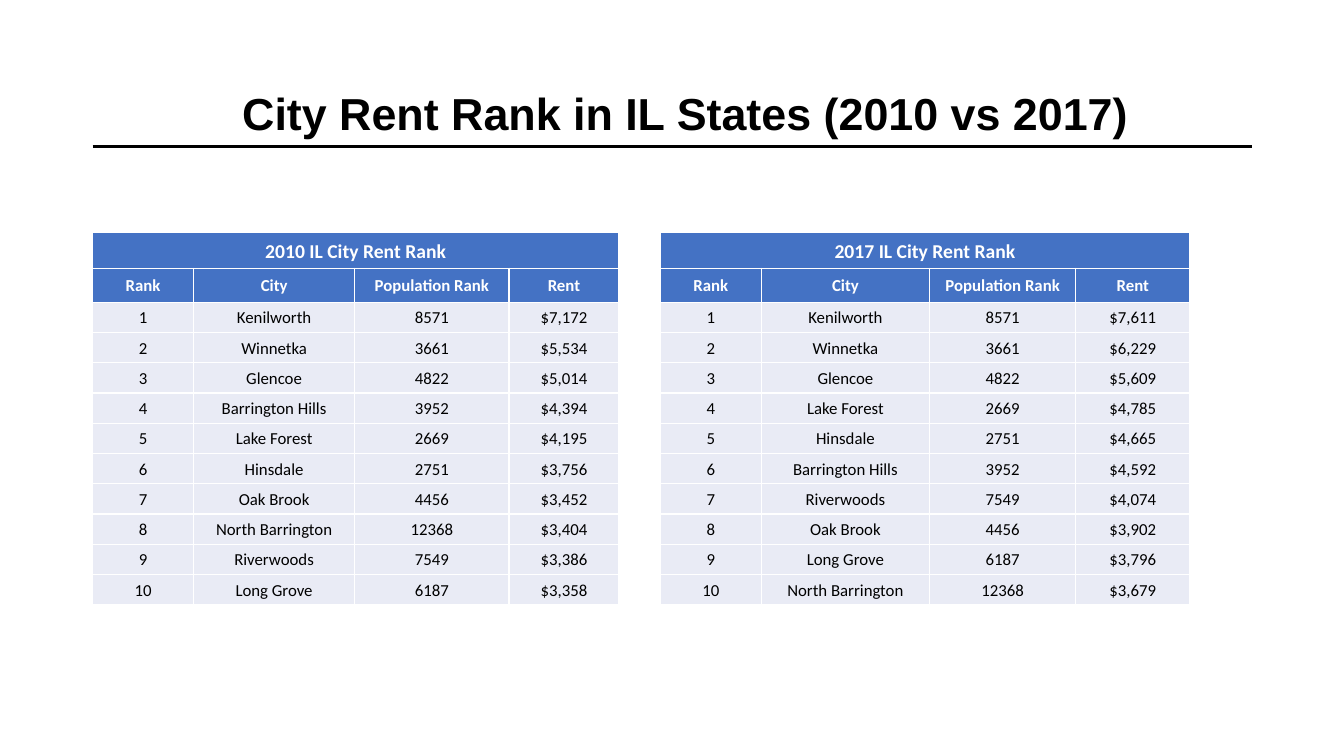
from dataclasses import dataclass

from lxml.etree import SubElement
from pptx import Presentation
from pptx.dml.color import RGBColor
from pptx.enum.shapes import MSO_CONNECTOR
from pptx.enum.text import MSO_ANCHOR, MSO_AUTO_SIZE, PP_ALIGN
from pptx.oxml import parse_xml
from pptx.oxml.ns import nsdecls, qn
from pptx.util import Inches, Pt

SLIDE_WIDTH, SLIDE_HEIGHT = Inches(13.33), Inches(7.5)
BLACK, WHITE, BLUE, PALE = "000000", "FFFFFF", "4472C4", "E9EBF5"
HEADINGS = ("Rank", "City", "Population Rank", "Rent")
LEFT_MARGIN, TABLE_TOP = 6.9, 30.8
BANNER_ROW, HEADING_ROW, CITY_ROW = 4.67, 4.53, 4
TITLE_FORMAT = {"name": "Arial", "size": Pt(32), "bold": True}
BANNER_FORMAT = {"name": "Calibri", "size": Pt(14), "bold": True}
HEADING_FORMAT = BANNER_FORMAT | {"size": Pt(12)}
CITY_FORMAT = HEADING_FORMAT | {"bold": False}
CELL_FORMAT = {
    "vertical_anchor": MSO_ANCHOR.MIDDLE,
    "margin_left": Inches(0.03),
    "margin_right": Inches(0.03),
    "margin_top": Inches(0.03),
    "margin_bottom": Inches(0.03),
}
POPULATION_RANKS = {
    "Kenilworth": 8571,
    "Winnetka": 3661,
    "Glencoe": 4822,
    "Barrington Hills": 3952,
    "Lake Forest": 2669,
    "Hinsdale": 2751,
    "Oak Brook": 4456,
    "North Barrington": 12368,
    "Riverwoods": 7549,
    "Long Grove": 6187,
}


@dataclass
class RentRanking:
    """One year's ranking, with left edge and columns in percent of slide width."""

    year: int
    left: float
    columns: tuple[float, ...]
    rents: dict[str, int]


RANKINGS = (
    RentRanking(2010, LEFT_MARGIN, (7.5, 12, 11.48, 8.18), {
        "Kenilworth": 7172,
        "Winnetka": 5534,
        "Glencoe": 5014,
        "Barrington Hills": 4394,
        "Lake Forest": 4195,
        "Hinsdale": 3756,
        "Oak Brook": 3452,
        "North Barrington": 3404,
        "Riverwoods": 3386,
        "Long Grove": 3358,
    }),
    RentRanking(2017, 49.14, (7.5, 12.53, 10.88, 8.48), {
        "Kenilworth": 7611,
        "Winnetka": 6229,
        "Glencoe": 5609,
        "Lake Forest": 4785,
        "Hinsdale": 4665,
        "Barrington Hills": 4592,
        "Riverwoods": 4074,
        "Oak Brook": 3902,
        "Long Grove": 3796,
        "North Barrington": 3679,
    }),
)


def color(value: str) -> RGBColor:
    """Turn a hex string into a colour."""
    return RGBColor.from_string(value)


def across(percent: float) -> int:
    """Give a share of the slide's width."""
    return round(SLIDE_WIDTH * percent / 100)


def down(percent: float) -> int:
    """Give a share of the slide's height."""
    return round(SLIDE_HEIGHT * percent / 100)


def apply(target, settings: dict) -> None:
    """Set every attribute named in the settings."""
    for attribute, value in settings.items():
        setattr(target, attribute, value)


def write(frame, text: str, font: dict, ink: str, spacing: float) -> None:
    """Write one centred paragraph."""
    paragraph = frame.paragraphs[0]
    apply(paragraph, {"alignment": PP_ALIGN.CENTER, "line_spacing": spacing})
    run = paragraph.add_run()
    run.text = text
    apply(run.font, font)
    run.font.color.rgb = color(ink)


def add_title(slide, text: str) -> None:
    """Place the title and the rule beneath it."""
    title = slide.shapes.title
    apply(title, {"left": across(7.88), "top": down(11.47),
                  "width": across(86.27), "height": down(19.33)})
    apply(title.text_frame, {"vertical_anchor": MSO_ANCHOR.TOP, "word_wrap": True,
                             "auto_size": MSO_AUTO_SIZE.NONE})
    write(title.text_frame, text, TITLE_FORMAT, BLACK, 0.9)
    rule = slide.shapes.add_connector(
        MSO_CONNECTOR.STRAIGHT, across(LEFT_MARGIN), down(19.33), across(93.17), down(19.33))
    rule.line.color.rgb = color(BLACK)
    rule.line.width = Pt(2.25)
    SubElement(rule._element.spPr, qn("a:effectLst"))


def style_cell(cell, fill: str) -> None:
    """Give a cell its margins, fill and white borders."""
    apply(cell, CELL_FORMAT)
    cell.fill.solid()
    cell.fill.fore_color.rgb = color(fill)
    properties = cell._tc.get_or_add_tcPr()
    for position, side in enumerate(("lnL", "lnR", "lnT", "lnB")):
        properties.insert(position, parse_xml(
            f'<a:{side} {nsdecls("a")} w="{Pt(1)}"><a:solidFill>'
            f'<a:srgbClr val="{WHITE}"/></a:solidFill></a:{side}>'))


def add_ranking(slide, ranking: RentRanking) -> None:
    """Draw one year's table of cities by rent."""
    cities = [(str(rank), city, str(POPULATION_RANKS[city]), f"${rent:,}")
              for rank, (city, rent) in enumerate(ranking.rents.items(), 1)]
    banner = (f"{ranking.year} IL City Rent Rank", "", "", "")
    rows = [(BANNER_ROW, banner, BANNER_FORMAT, WHITE, BLUE),
            (HEADING_ROW, HEADINGS, HEADING_FORMAT, WHITE, BLUE)]
    rows += [(CITY_ROW, city, CITY_FORMAT, BLACK, PALE) for city in cities]
    table = slide.shapes.add_table(
        len(rows), len(HEADINGS), across(ranking.left), down(TABLE_TOP),
        across(sum(ranking.columns)), down(sum(row[0] for row in rows))).table
    apply(table, {"first_row": False, "horz_banding": False})
    for column, width in zip(table.columns, ranking.columns):
        column.width = across(width)
    table.cell(0, 0).merge(table.cell(0, len(HEADINGS) - 1))
    for table_row, (height, texts, font, ink, fill) in zip(table.rows, rows):
        table_row.height = down(height)
        for cell, text in zip(table_row.cells, texts):
            style_cell(cell, fill)
            if text:
                write(cell.text_frame, text, font, ink, 1.07)


def main() -> None:
    """Build and save the slide."""
    deck = Presentation()
    apply(deck, {"slide_width": SLIDE_WIDTH, "slide_height": SLIDE_HEIGHT})
    slide = deck.slides.add_slide(deck.slide_layouts.get_by_name("Title Only"))
    add_title(slide, "City Rent Rank in IL States (2010 vs 2017)")
    for ranking in RANKINGS:
        add_ranking(slide, ranking)
    deck.save("out.pptx")


if __name__ == "__main__":
    main()
